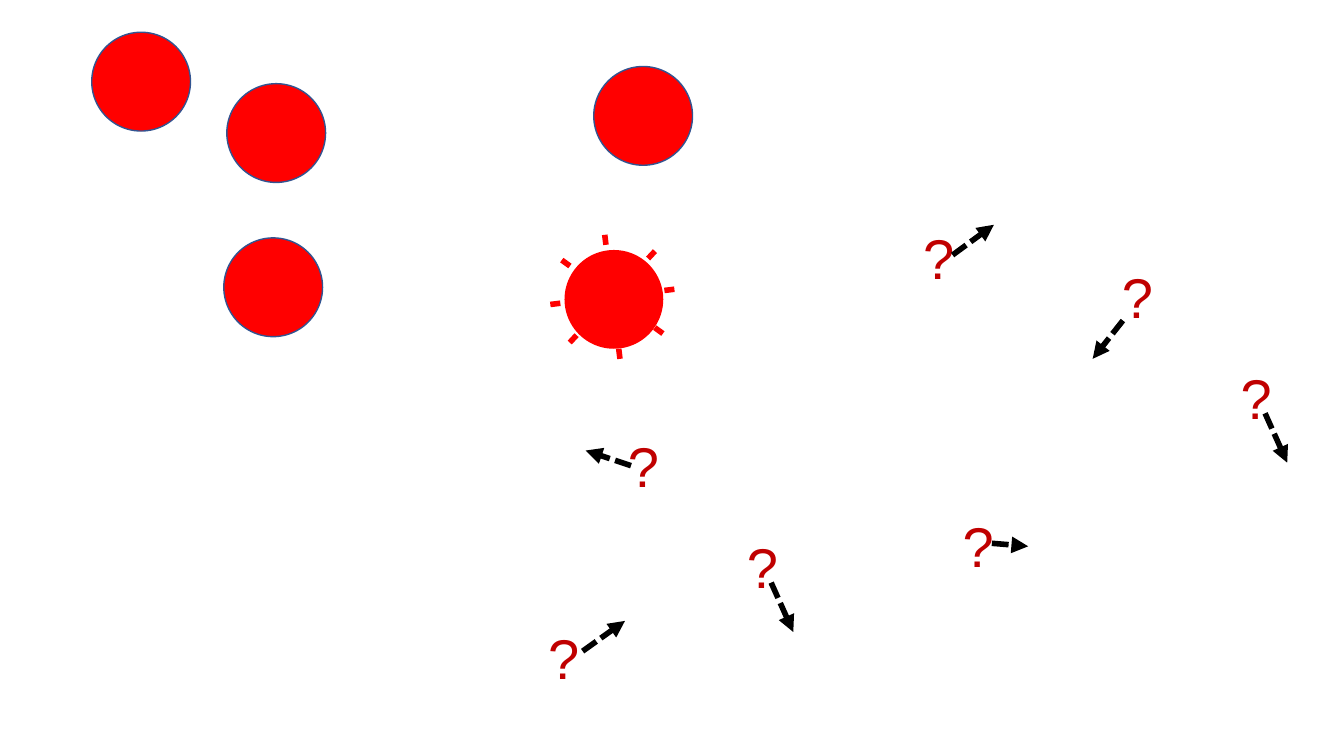
from math import cos, radians, sin

from lxml.etree import SubElement
from pptx import Presentation
from pptx.dml.color import RGBColor as Color
from pptx.enum.shapes import MSO_CONNECTOR as Connector, MSO_SHAPE as Shape
from pptx.enum.text import MSO_AUTO_SIZE as AutoSize
from pptx.oxml.ns import qn
from pptx.util import Inches, Pt

# Square grid: 133.33 columns by 75 rows
CELL = Inches(0.1)
COLORS = {"ball": "FF0000", "outline": "325491", "mark": "C00000", "arrow": "000000"}

deck = Presentation()
deck.slide_width, deck.slide_height = int(133.33 * CELL), 75 * CELL
page = deck.slides.add_slide(deck.slide_layouts[6])


def add_text(text, column, row, width=5.1, height=7.7, size=40, font="Arial", color="mark"):
    box = page.shapes.add_textbox(*(int(n * CELL) for n in (column, row, width, height)))
    frame = box.text_frame
    frame.word_wrap = False
    frame.auto_size = AutoSize.SHAPE_TO_FIT_TEXT
    span = frame.paragraphs[0].add_run()
    span.text = text
    span.font.name, span.font.size = font, Pt(size)
    span.font.color.rgb = Color.from_string(COLORS[color])


def add_dashed_line(shapes, start, end, color, arrowhead=False):
    points = (int(n * CELL) for n in (*start, *end))
    line = shapes.add_connector(Connector.STRAIGHT, *points)
    line.line.color.rgb = Color.from_string(COLORS[color])
    line.line.width = Pt(4)
    outline = line.line._get_or_add_ln()
    SubElement(outline, qn("a:prstDash"), val="sysDash")
    if arrowhead:
        SubElement(outline, qn("a:tailEnd"), type="triangle")
    SubElement(line._element.spPr, qn("a:effectLst"))


# Balls: four outlined ones, and a glowing one grouped with its rays
DIAMETER = 9.8
glow = page.shapes.add_group_shape()
balls = [
    (page.shapes, 22.5, 8.3),
    (page.shapes, 9.1, 3.2),
    (page.shapes, 22.2, 23.6),
    (page.shapes, 58.9, 6.6),
    (glow.shapes, 56, 24.8),
]
for shapes, column, row in balls:
    ball = shapes.add_shape(
        Shape.OVAL, *(int(n * CELL) for n in (column, row, DIAMETER, DIAMETER))
    )
    ball.shadow.inherit = False
    ball.fill.solid()
    ball.fill.fore_color.rgb = Color.from_string(COLORS["ball"])
    if shapes is glow.shapes:
        ball.line.fill.background()
    else:
        ball.line.color.rgb = Color.from_string(COLORS["outline"])
        ball.line.width = Pt(1)

# Rays: opposite pairs around the glowing ball
CENTER_COLUMN, CENTER_ROW = 60.75, 29.45
for angle in (-7, 36, 83, 133):
    for turn in (0, 180):
        direction = radians(angle + turn)
        outer, inner = (
            (CENTER_COLUMN + radius * cos(direction), CENTER_ROW + radius * sin(direction))
            for radius in (6.2, 5.2)
        )
        add_dashed_line(glow.shapes, outer, inner, "ball")

# Question marks, each with its arrow: mark corner, arrow start, arrow end
moving_marks = [
    ((122.1, 35.6), (125.5, 41), (127.7, 45.9)),
    ((110.3, 25.6), (111.4, 31.8), (108.4, 35.6)),
    ((90.6, 21.7), (94.5, 25.3), (98.6, 22.3)),
    ((73.1, 52.3), (76.5, 57.8), (78.7, 62.7)),
    ((61.3, 42.3), (62.6, 46.2), (58.1, 44.7)),
    ((53.4, 61.4), (57.8, 64.6), (62, 61.6)),
    ((94.5, 50.3), (98.4, 53.9), (102, 54.2)),
]
for (column, row), start, end in moving_marks:
    add_text("?", column, row)
    add_dashed_line(page.shapes, start, end, "arrow", arrowhead=True)

deck.save("out.pptx")
